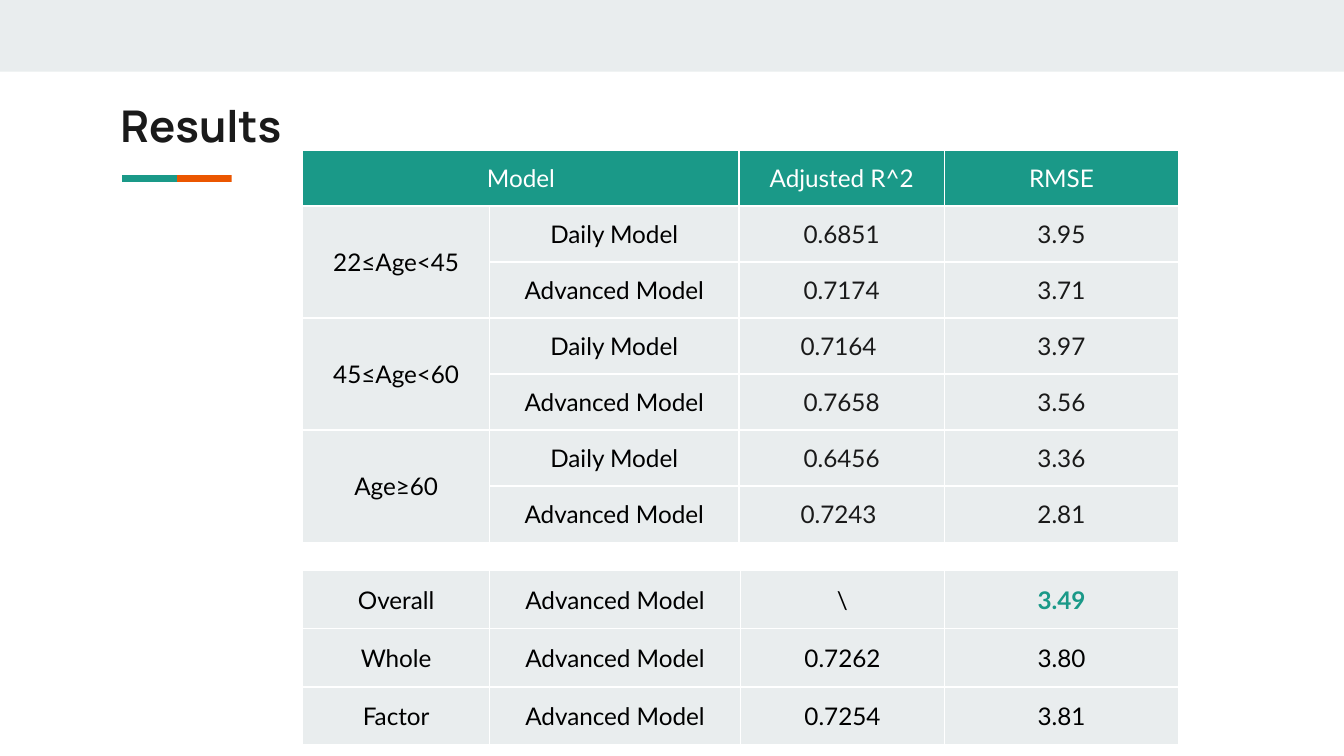
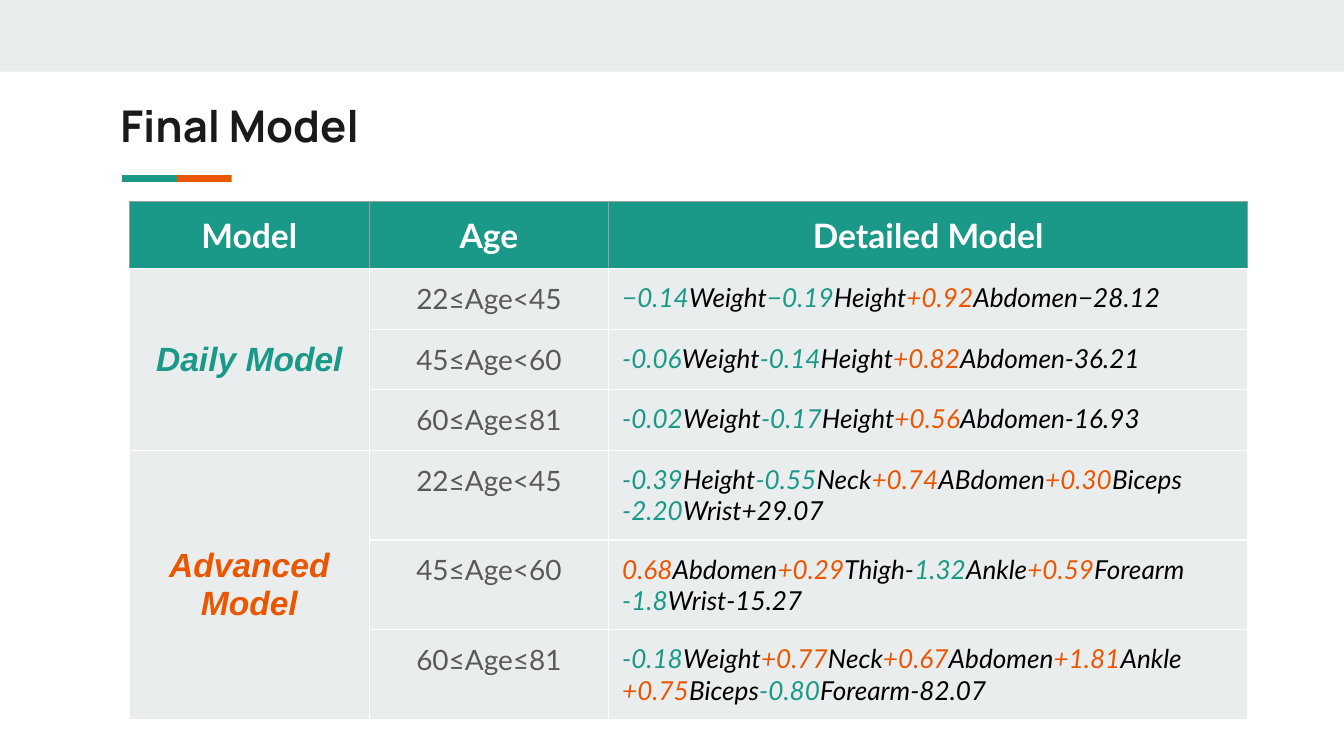
from dataclasses import dataclass
from typing import Optional

from lxml import etree
from pptx import Presentation
from pptx.dml.color import RGBColor
from pptx.enum.shapes import MSO_SHAPE
from pptx.enum.text import MSO_ANCHOR, MSO_AUTO_SIZE, PP_ALIGN
from pptx.oxml.ns import qn
from pptx.util import Pt

RECT = MSO_SHAPE.RECTANGLE
LEFT, CENTER = PP_ALIGN.LEFT, PP_ALIGN.CENTER
TOP, MIDDLE = MSO_ANCHOR.TOP, MSO_ANCHOR.MIDDLE
NO_FIT = MSO_AUTO_SIZE.NONE
TITLE_ONLY = 5


@dataclass(frozen=True)
class Theme:
    teal: str = "1A9988"
    orange: str = "EB5600"
    pale: str = "E9EDEE"
    white: str = "FFFFFF"
    black: str = "000000"
    ink: str = "1A1A1A"
    gray: str = "595959"
    edge: str = "9E9E9E"
    body: str = "Lato"
    heading: str = "Manrope"
    label: str = "Arial"
    title_pt: float = 23.4
    head_pt: float = 18
    age_pt: float = 15
    formula_pt: float = 14
    cell_pt: float = 13
    inset: float = 7.2
    border: float = 0.75


T = Theme()


@dataclass(frozen=True)
class Style:
    size: float = T.cell_pt
    color: str = T.black
    name: str = T.body
    bold: bool = False
    italic: bool = False
    align: PP_ALIGN = CENTER
    anchor: MSO_ANCHOR = MIDDLE

    def font(self) -> dict:
        return {"size": Pt(self.size), "name": self.name,
                "bold": self.bold, "italic": self.italic}


@dataclass(frozen=True)
class Bar:
    x: float
    y: float
    w: float
    h: float
    color: str
    turn: float = 0


@dataclass(frozen=True)
class Cell:
    text: str
    style: Style = Style()
    fill: str = T.pale
    edge: str = T.white
    rows: int = 1
    cols: int = 1


@dataclass(frozen=True)
class Grid:
    x: float
    y: float
    widths: tuple
    heights: tuple
    cells: list[list[Optional[Cell]]]


TITLE = Style(T.title_pt, T.ink, T.heading, bold=True, align=LEFT)
HEADER = Style(color=T.white)
VALUE = Style(color=T.ink)
BEST = Style(color=T.teal, bold=True)
BIG_HEADER = Style(T.head_pt, T.white, bold=True)
AGE = Style(T.age_pt, T.gray, anchor=TOP)
FORMULA = Style(T.formula_pt, italic=True, align=LEFT, anchor=TOP)

BAND = Bar(0, 0, 720, 38.4, T.pale)
RULE = {"left": 65.4, "top": 93.8, "width": 58.7, "height": 3.6}
RULE_SPACE = {"a:chOff": {"x": 65.4, "y": 93.8}, "a:chExt": {"cx": 83.84, "cy": 1.98}}
RULE_BARS = [
    Bar(127.29, 73.83, 1.98, 41.92, T.orange, 270),
    Bar(85.37, 73.83, 1.98, 41.92, T.teal, 270),
]

RESULTS = [
    ("22≤Age<45", [("0.6851", "3.95"), ("0.7174", "3.71")]),
    ("45≤Age<60", [("0.7164 ", "3.97"), ("0.7658", "3.56")]),
    ("Age≥60", [("0.6456", "3.36"), ("0.7243 ", "2.81")]),
]
SUMMARY = [
    ("Overall", "\\", "3.49"),
    ("Whole", "0.7262", "3.80"),
    ("Factor", "0.7254", "3.81"),
]
AGES = ("22≤Age<45", "45≤Age<60", "60≤Age≤81")
FORMULAS = [
    ("Daily Model", T.teal, (
        "−0.14|Weight|−0.19|Height|+0.92|Abdomen−28.12",
        "-0.06|Weight|-0.14|Height|+0.82|Abdomen-36.21",
        "-0.02|Weight|-0.17|Height|+0.56|Abdomen-16.93",
    )),
    ("Advanced Model", T.orange, (
        "-0.39|Height|-0.55|Neck|+0.74|ABdomen|+0.30|Biceps\n-2.20|Wrist+29.07",
        "0.68|Abdomen|+0.29|Thigh-|1.32|Ankle|+0.59|Forearm\n-1.8|Wrist-15.27",
        "-0.18|Weight|+0.77|Neck|+0.67|Abdomen|+1.81|Ankle\n"
        "+0.75|Biceps|-0.80|Forearm-82.07",
    )),
]


def rgb(color: str) -> RGBColor:
    return RGBColor.from_string(color)


def add_run(p, text: str, style: Style, color: str) -> None:
    r = p.add_run()
    r.text = text
    for key, value in style.font().items():
        setattr(r.font, key, value)
    r.font.color.rgb = rgb(color)


def write(tf, text: str, style: Style) -> None:
    for i, line in enumerate(text.split("\n")):
        p = tf.add_paragraph() if i else tf.paragraphs[0]
        p.alignment = style.align
        if style is not FORMULA:
            add_run(p, line, style, style.color)
            continue
        for j, part in enumerate(line.split("|")):
            sign_color = T.orange if part[0] in "+0" else T.teal
            add_run(p, part, style, style.color if j % 2 else sign_color)


def add_bar(shapes, bar: Bar):
    sp = shapes.add_shape(RECT, Pt(bar.x), Pt(bar.y), Pt(bar.w), Pt(bar.h))
    sp.rotation = bar.turn
    sp.shadow.inherit = False
    sp.fill.solid()
    sp.fill.fore_color.rgb = rgb(bar.color)
    sp.line.fill.background()
    return sp


def add_layout_bars(prs, s) -> None:
    band = add_bar(s.shapes, BAND)
    rule = s.shapes.add_group_shape()
    for bar in RULE_BARS:
        add_bar(rule.shapes, bar)
    for key, value in RULE.items():
        setattr(rule, key, Pt(value))
    for tag, values in RULE_SPACE.items():
        node = rule.element.xpath(f"./p:grpSpPr/a:xfrm/{tag}")[0]
        for key, value in values.items():
            node.set(key, str(Pt(value)))
    tree = prs.slide_layouts[TITLE_ONLY].shapes.element
    for i, sp in enumerate((band, rule)):
        tree.insert(2 + i, sp.element)
    for i, node in enumerate(tree.xpath(".//p:cNvPr")):
        node.set("id", str(1 + i))


def set_borders(cell, color: str) -> None:
    props = cell._tc.get_or_add_tcPr()
    for side in "LRTB":
        ln = etree.SubElement(props, qn(f"a:ln{side}"), w=str(Pt(T.border)))
        fill = etree.SubElement(ln, qn("a:solidFill"))
        etree.SubElement(fill, qn("a:srgbClr"), val=T.white if side == "B" else color)


def add_grid(s, grid: Grid) -> None:
    frame = s.shapes.add_table(len(grid.heights), len(grid.widths), Pt(grid.x), Pt(grid.y),
                               Pt(sum(grid.widths)), Pt(sum(grid.heights)))
    table = frame.table
    table.first_row = table.horz_banding = False
    for col, width in zip(table.columns, grid.widths):
        col.width = Pt(width)
    for row, height in zip(table.rows, grid.heights):
        row.height = Pt(height)
    for i, line in enumerate(grid.cells):
        for j, item in enumerate(line):
            cell = table.cell(i, j)
            look = item or Cell("")
            set_borders(cell, look.edge)
            cell.fill.solid()
            cell.fill.fore_color.rgb = rgb(look.fill)
            if item is None:
                continue
            for side in ("left", "right", "top", "bottom"):
                setattr(cell, f"margin_{side}", Pt(T.inset))
            cell.vertical_anchor = item.style.anchor
            write(cell.text_frame, item.text, item.style)
            if item.rows * item.cols > 1:
                cell.merge(table.cell(i + item.rows - 1, j + item.cols - 1))


def add_titled_slide(prs, title: str):
    s = prs.slides.add_slide(prs.slide_layouts[TITLE_ONLY])
    sp = s.shapes.title
    box = {"left": 57.3, "top": 45.7, "width": 605.5, "height": 42.5}
    for key, value in box.items():
        setattr(sp, key, Pt(value))
    tf = sp.text_frame
    frame = {"word_wrap": True, "auto_size": NO_FIT, "vertical_anchor": MIDDLE}
    frame.update({f"margin_{side}": Pt(T.inset)
                  for side in ("left", "right", "top", "bottom")})
    for key, value in frame.items():
        setattr(tf, key, value)
    write(tf, title, TITLE)
    return s


def results_grid() -> Grid:
    cells = [[Cell("Model", HEADER, T.teal, cols=2), None,
              Cell("Adjusted R^2", HEADER, T.teal), Cell("RMSE", HEADER, T.teal)]]
    for age, scores in RESULTS:
        for i, (model, (fit, error)) in enumerate(zip(("Daily Model", "Advanced Model"), scores)):
            cells.append([None if i else Cell(age, rows=2), Cell(model),
                          Cell(fit, VALUE), Cell(error, VALUE)])
    return Grid(162.2, 80.3, (100, 133.7, 110, 125.5), (29.95,) * 7, cells)


def summary_grid() -> Grid:
    cells = [[Cell(name), Cell("Advanced Model"), Cell(fit),
              Cell(error, BEST if name == "Overall" else Style())]
             for name, fit, error in SUMMARY]
    return Grid(162.2, 305.8, (100, 134.5, 109.3, 125.5), (31.1,) * 3, cells)


def formula_grid() -> Grid:
    cells = [[Cell(text, BIG_HEADER, T.teal, T.edge)
              for text in ("Model", "Age", "Detailed Model")]]
    for model, color, formulas in FORMULAS:
        label = Style(T.head_pt, color, T.label, bold=True, italic=True)
        for i, (age, formula) in enumerate(zip(AGES, formulas)):
            cells.append([None if i else Cell(model, label, rows=3),
                          Cell(age, AGE), Cell(formula, FORMULA)])
    heights = (36,) + (32.3,) * 3 + (47.9,) * 3
    return Grid(69.3, 107.9, (128.6, 128.2, 342.3), heights, cells)


def main() -> None:
    prs = Presentation()
    prs.slide_width, prs.slide_height = Pt(720), Pt(405)
    s = add_titled_slide(prs, "Results")
    add_layout_bars(prs, s)
    add_grid(s, results_grid())
    add_grid(s, summary_grid())
    s = add_titled_slide(prs, "Final Model")
    add_grid(s, formula_grid())
    prs.save("out.pptx")


if __name__ == "__main__":
    main()
